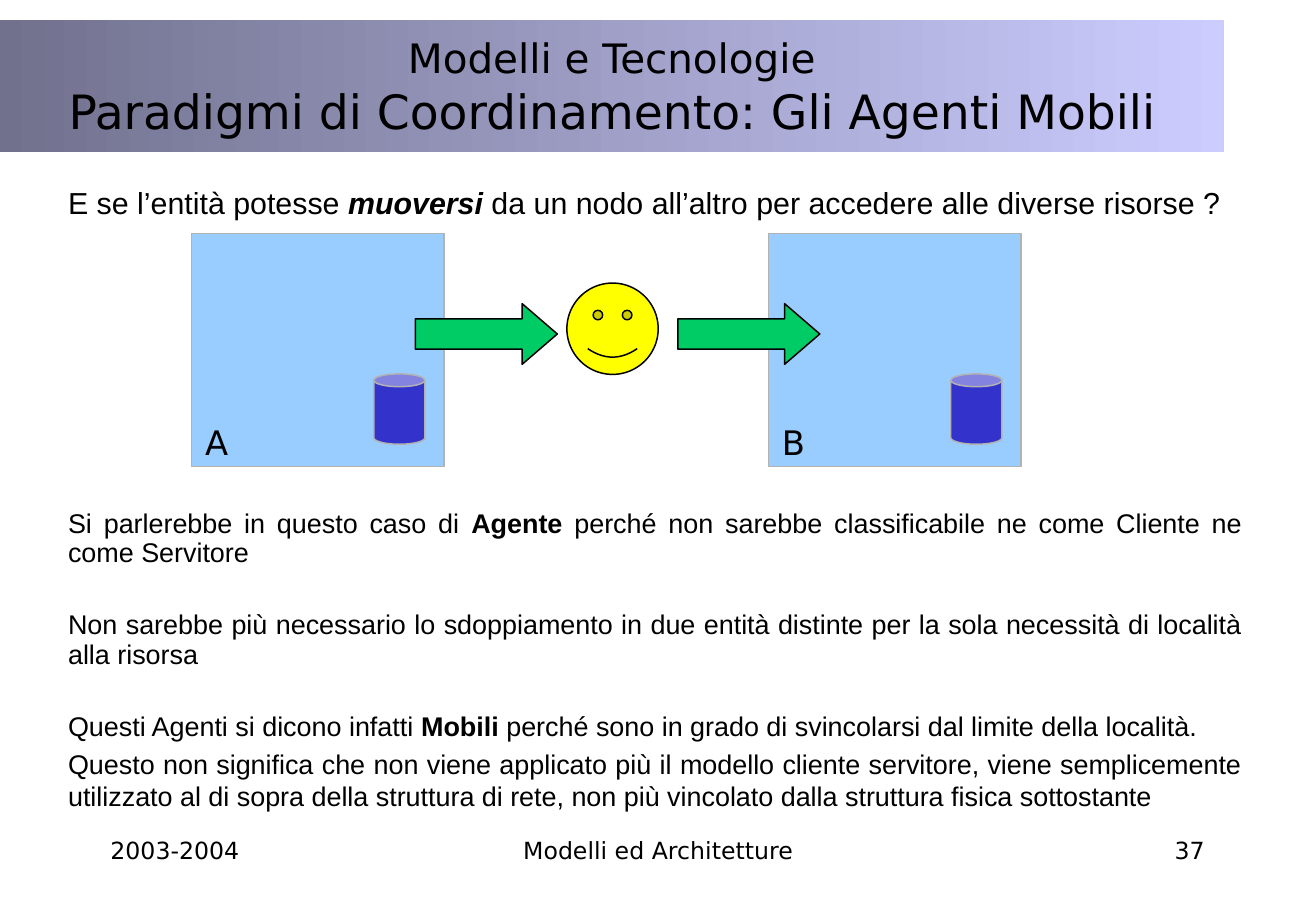
from dataclasses import dataclass
from pptx import Presentation
from pptx.dml.color import RGBColor
from pptx.enum.shapes import MSO_SHAPE
from pptx.enum.text import MSO_ANCHOR, MSO_AUTO_SIZE, PP_ALIGN
from pptx.oxml.ns import qn
from pptx.util import Cm, Pt
from lxml.etree import SubElement


@dataclass(frozen=True)
class Theme:
    sans: str = "DejaVu Sans"
    text: str = "Arial"
    ink: str = "000000"
    dark: str = "71718E"
    light: str = "CCCCFF"
    node: str = "99CCFF"
    store: str = "3333CC"
    edge: str = "B2B2B2"
    arrow: str = "00CC66"
    face: str = "FFFF00"
    line: float = 0.88
    label: int = 20
    foot: int = 14


THEME = Theme()

# Content: title lines as (text, size)
TITLE = [
    ("Modelli e Tecnologie", 24),
    ("Paradigmi di Coordinamento: Gli Agenti Mobili", 28),
]
# Body: (size, space before, line spacing, [(text, style)])
BODY = [
    (18, 0, 0.9, [
        ("E se l’entità potesse ", ""),
        ("muoversi", "bi"),
        (" da un nodo all’altro per accedere alle diverse risorse ?", "")]),
    (16, 171.5, 0.9, [
        ("Si parlerebbe in questo caso di ", ""),
        ("Agente ", "b"),
        ("perché non sarebbe classificabile ne come Cliente ne come Servitore", "")]),
    (16, 25.5, 0.9, [
        ("Non sarebbe più necessario lo sdoppiamento in due entità distinte "
         "per la sola necessità di località alla risorsa", "")]),
    (16, 25.5, 0.9, [
        ("Questi Agenti si dicono infatti ", ""),
        ("Mobili", "b"),
        (" perché sono in grado di svincolarsi dal limite della località.", "")]),
    (16, 3, 1.0, [
        ("Questo non significa che non viene applicato più il modello cliente "
         "servitore, viene semplicemente utilizzato al di sopra della struttura "
         "di rete, non più vincolato dalla struttura fisica sottostante", "")]),
]
# Nodes and arrows by left edge, footers as (text, left, width, alignment)
NODES = [("A", 4.01), ("B", 16.08)]
ARROWS = [8.69, 14.18]
FOOT = [
    ("2003-2004", 2.06, 5.74, PP_ALIGN.LEFT),
    ("Modelli ed Architetture", 8.69, 10.16, PP_ALIGN.CENTER),
    ("37", 19.71, 5.74, PP_ALIGN.RIGHT),
]


def color(code):
    return RGBColor.from_string(code)


def place(shape, x, y, w, h):
    shape.left, shape.top, shape.width, shape.height = Cm(x), Cm(y), Cm(w), Cm(h)


def style(para, face, size, align):
    para.alignment = align
    para.font.name, para.font.size = face, Pt(size)
    para.font.color.rgb = color(THEME.ink)


def draw(slide, kind, x, y, w, h, fill, edge):
    shape = slide.shapes.add_shape(kind, Cm(x), Cm(y), Cm(w), Cm(h))
    shape.shadow.inherit = False
    shape.fill.solid()
    shape.fill.fore_color.rgb = color(fill)
    shape.line.color.rgb = color(edge)
    shape.line.width = Pt(THEME.line)
    return shape


def write(slide, text, x, y, w, h, size, align, wrap=True):
    frame = slide.shapes.add_textbox(Cm(x), Cm(y), Cm(w), Cm(h)).text_frame
    frame.word_wrap = wrap
    para = frame.paragraphs[0]
    para.text = text
    style(para, THEME.sans, size, align)


def add_title(slide):
    title = slide.shapes.title
    place(title, 0, 0.42, 25.6, 2.75)
    title.fill.gradient()
    title.fill.gradient_angle = 0
    for stop, code in zip(title.fill.gradient_stops, (THEME.dark, THEME.light)):
        stop.color.rgb = color(code)
    frame = title.text_frame
    frame.auto_size = MSO_AUTO_SIZE.NONE
    frame.vertical_anchor = MSO_ANCHOR.MIDDLE
    frame.text = "\n".join(text for text, _ in TITLE)
    for para, (_, size) in zip(frame.paragraphs, TITLE):
        style(para, THEME.sans, size, PP_ALIGN.CENTER)


def add_body(slide):
    body = slide.placeholders[1]
    place(body, 1.17, 3.81, 25.07, 13.13)
    frame = body.text_frame
    frame.auto_size = MSO_AUTO_SIZE.NONE
    for i, (size, gap, lead, runs) in enumerate(BODY):
        para = frame.paragraphs[0] if i == 0 else frame.add_paragraph()
        props = para._p.get_or_add_pPr()
        props.set("marL", "0")
        props.set("indent", "0")
        SubElement(props, qn("a:buNone"))
        para.space_before, para.line_spacing = Pt(gap), lead
        style(para, THEME.text, size, PP_ALIGN.JUSTIFY)
        for text, marks in runs:
            run = para.add_run()
            run.text = text
            if marks:
                run.font.bold = True
                run.font.italic = "i" in marks


def add_scene(slide):
    # Nodes, each with its resource and label
    for name, x in NODES:
        draw(slide, MSO_SHAPE.RECTANGLE, x, 4.88, 5.28, 4.88, THEME.node, THEME.edge)
        draw(slide, MSO_SHAPE.CAN, x + 3.81, 7.82, 1.07, 1.47, THEME.store, THEME.edge)
        write(slide, name, x + 0.03, 8.69, 0.97, 1.12, THEME.label,
              PP_ALIGN.CENTER, wrap=False)
    # Moving agent
    for x in ARROWS:
        arrow = draw(slide, MSO_SHAPE.RIGHT_ARROW, x, 6.35, 2.97, 1.27,
                     THEME.arrow, THEME.ink)
        arrow.adjustments[1] = 0.58
    draw(slide, MSO_SHAPE.SMILEY_FACE, 11.86, 5.92, 1.91, 1.91, THEME.face, THEME.ink)


def main():
    deck = Presentation()
    deck.slide_width, deck.slide_height = Cm(27.53), Cm(19.05)
    slide = deck.slides.add_slide(deck.slide_layouts[1])
    add_title(slide)
    add_body(slide)
    add_scene(slide)
    # Footer
    for text, x, w, align in FOOT:
        write(slide, text, x, 17.35, w, 1.27, THEME.foot, align)
    deck.save("out.pptx")


if __name__ == "__main__":
    main()
